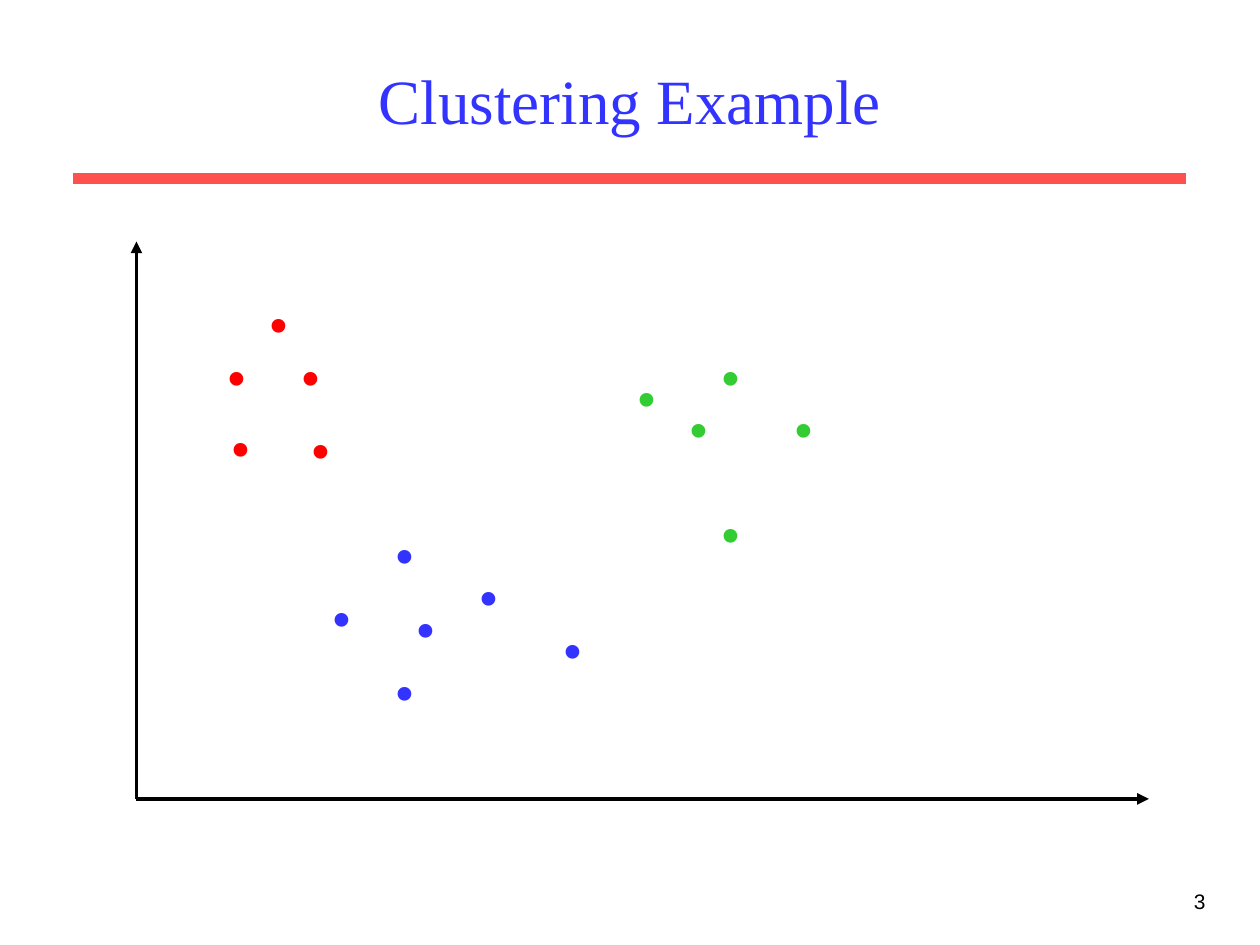
from dataclasses import dataclass

from lxml import etree
from pptx import Presentation
from pptx.dml.color import RGBColor
from pptx.enum.shapes import MSO_CONNECTOR
from pptx.enum.text import MSO_ANCHOR, MSO_AUTO_SIZE, PP_ALIGN
from pptx.oxml.ns import qn
from pptx.util import Pt

STRAIGHT = MSO_CONNECTOR.STRAIGHT
MIDDLE, TOP = MSO_ANCHOR.MIDDLE, MSO_ANCHOR.TOP
CENTER, RIGHT = PP_ALIGN.CENTER, PP_ALIGN.RIGHT
NO_FIT, GROW = MSO_AUTO_SIZE.NONE, MSO_AUTO_SIZE.SHAPE_TO_FIT_TEXT


@dataclass(frozen=True)
class Theme:
    serif: str = "Times New Roman"
    sans: str = "Arial"
    black: str = "000000"
    red: str = "FF0000"
    blue: str = "3333FF"
    green: str = "33CC33"
    rule: str = "FF5050"
    title_size: float = 36
    dot_size: float = 66
    number_size: float = 12
    rule_width: float = 6
    axis_width: float = 2.25


def write_text(frame, text, *, font, size, color, align=CENTER,
               anchor=TOP, wrap=True, fit=NO_FIT):
    frame.auto_size = fit
    frame.word_wrap = wrap
    frame.vertical_anchor = anchor
    paragraph = frame.paragraphs[0]
    paragraph.alignment = align
    run = paragraph.add_run()
    run.text = text
    run.font.name = font
    run.font.size = Pt(size)
    run.font.color.rgb = RGBColor.from_string(color)


class SlideBuilder:
    def __init__(self, slide, theme):
        self.slide = slide
        self.theme = theme

    def title(self, text, left, top, width, height):
        shape = self.slide.shapes.title
        shape.left, shape.top = Pt(left), Pt(top)
        shape.width, shape.height = Pt(width), Pt(height)
        write_text(shape.text_frame, text, font=self.theme.serif,
                   size=self.theme.title_size, color=self.theme.blue, anchor=MIDDLE)

    def text(self, text, left, top, width, height, **text_format):
        shape = self.slide.shapes.add_textbox(Pt(left), Pt(top), Pt(width), Pt(height))
        write_text(shape.text_frame, text, **text_format)

    def dot(self, left, top, color):
        self.text(".", left, top, 31, 86.4, font=self.theme.serif,
                  size=self.theme.dot_size, color=color, wrap=False, fit=GROW)

    def line(self, start, end, color, width, arrow=False):
        connector = self.slide.shapes.add_connector(
            STRAIGHT, *(Pt(value) for value in (*start, *end)))
        connector.line.color.rgb = RGBColor.from_string(color)
        connector.line.width = Pt(width)
        if arrow:
            outline = connector.line._get_or_add_ln()
            etree.SubElement(outline, qn("a:tailEnd"), type="triangle")
        etree.SubElement(connector._element.spPr, qn("a:effectLst"))


def main():
    theme = Theme()
    presentation = Presentation()
    presentation.slide_width, presentation.slide_height = Pt(720), Pt(540)
    slide = presentation.slides.add_slide(presentation.slide_layouts[5])
    builder = SlideBuilder(slide, theme)

    # Heading, rule and page number
    builder.line((42, 102), (678, 102), theme.rule, theme.rule_width)
    builder.text("3", 546, 504, 150, 36, font=theme.sans,
                 size=theme.number_size, color=theme.black, align=RIGHT)
    builder.title("Clustering Example", 54, 18, 612, 78)

    # Axes
    origin = (78, 456.5)
    for axis_end in ((78, 138), (656.5, 456.5)):
        builder.line(origin, axis_end, theme.black, theme.axis_width, arrow=True)

    # Clusters: left and top of each dot's text box
    clusters = {
        theme.red: [(122.4, 190.8), (120, 150), (168, 192), (162, 150), (144, 120)],
        theme.blue: [(180, 288), (264, 276), (216, 330), (312, 306), (228, 294),
                     (216, 252)],
        theme.green: [(354, 162), (444, 180), (384, 180), (402, 150), (402, 240)],
    }
    for color, points in clusters.items():
        for left, top in points:
            builder.dot(left, top, color)

    presentation.save("out.pptx")


if __name__ == "__main__":
    main()
